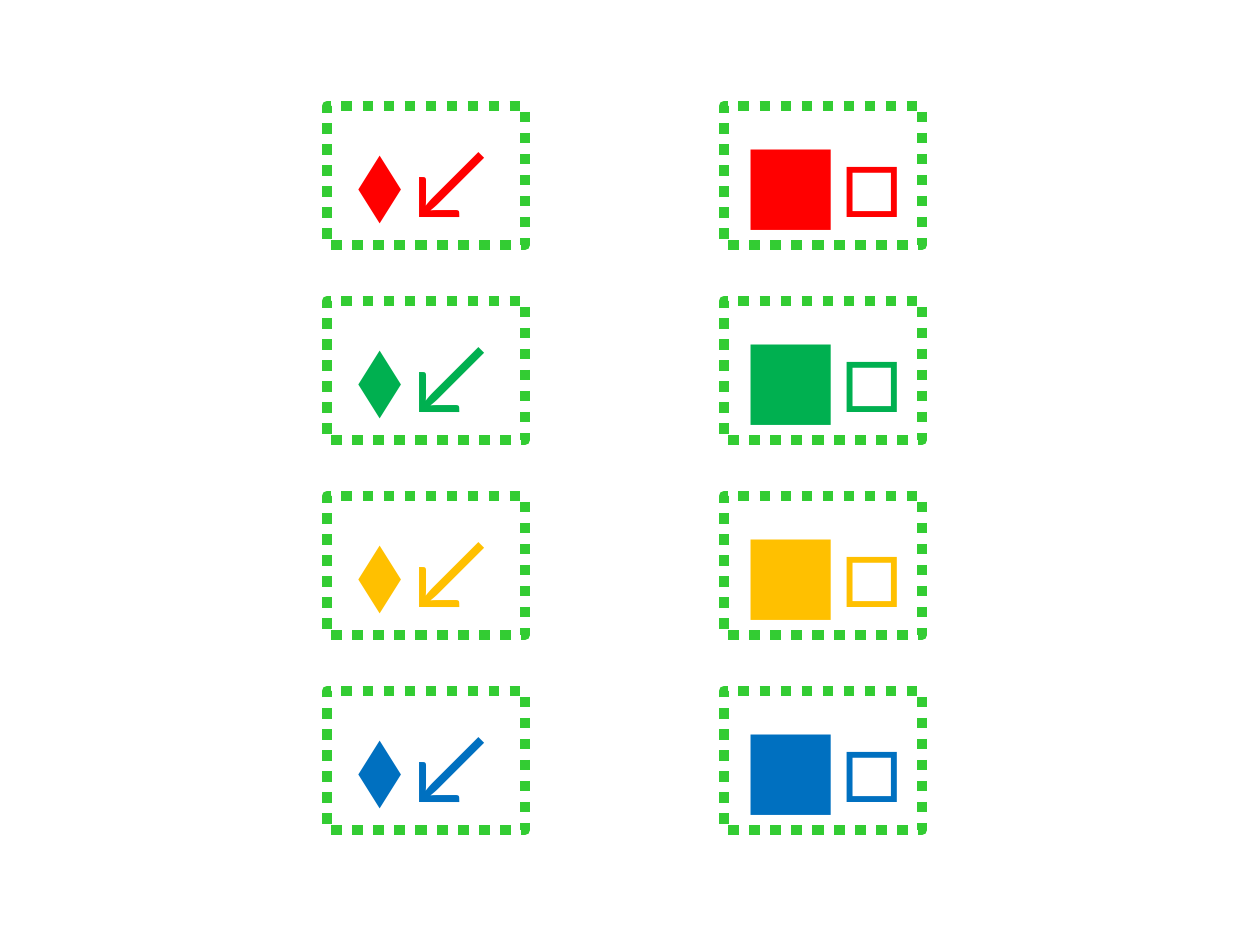
from pptx import Presentation
from pptx.dml.color import RGBColor
from pptx.enum.dml import MSO_LINE
from pptx.enum.shapes import MSO_SHAPE
from pptx.enum.text import MSO_ANCHOR, MSO_AUTO_SIZE, PP_ALIGN
from pptx.util import Pt

RECT = MSO_SHAPE.RECTANGLE
DOTS = MSO_LINE.ROUND_DOT  # stored as sysDot
TOP = MSO_ANCHOR.TOP
GROW = MSO_AUTO_SIZE.SHAPE_TO_FIT_TEXT
CENTER = PP_ALIGN.CENTER
PX = 914400 // 126


def color(fmt, code):
    """Set a solid colour on a fill or a font."""
    if hasattr(fmt, "solid"):
        fmt.solid()
        fmt.fore_color.rgb = RGBColor.from_string(code)
    else:
        fmt.color.rgb = RGBColor.from_string(code)


prs = Presentation()
prs.slide_width, prs.slide_height = 1260 * PX, 945 * PX
slide = prs.slides.add_slide(prs.slide_layouts[6])

left, top, width, height = 327, 106, 198, 139
col_step, row_step = 397, 195
pairs = ["⬧↙", "■□"]
hues = ["FF0000", "00B050", "FFC000", "0070C0"]
frame_fmt = {"word_wrap": True, "auto_size": GROW, "vertical_anchor": TOP}
font_fmt = {"name": "Calibri", "size": Pt(60)}

for row, hue in enumerate(hues):
    for col, pair in enumerate(pairs):
        box = slide.shapes.add_shape(
            RECT, (left + col * col_step) * PX, (top + row * row_step) * PX,
            width * PX, height * PX)
        box.shadow.inherit = False
        box.fill.background()
        color(box.line.fill, "33CC33")
        box.line.width = Pt(6)
        box.line.dash_style = DOTS

        frame = box.text_frame
        for key, val in frame_fmt.items():
            setattr(frame, key, val)
        para = frame.paragraphs[0]
        para.alignment = CENTER
        run = para.add_run()
        run.text = pair
        for key, val in font_fmt.items():
            setattr(run.font, key, val)
        color(run.font, hue)

prs.save("out.pptx")
